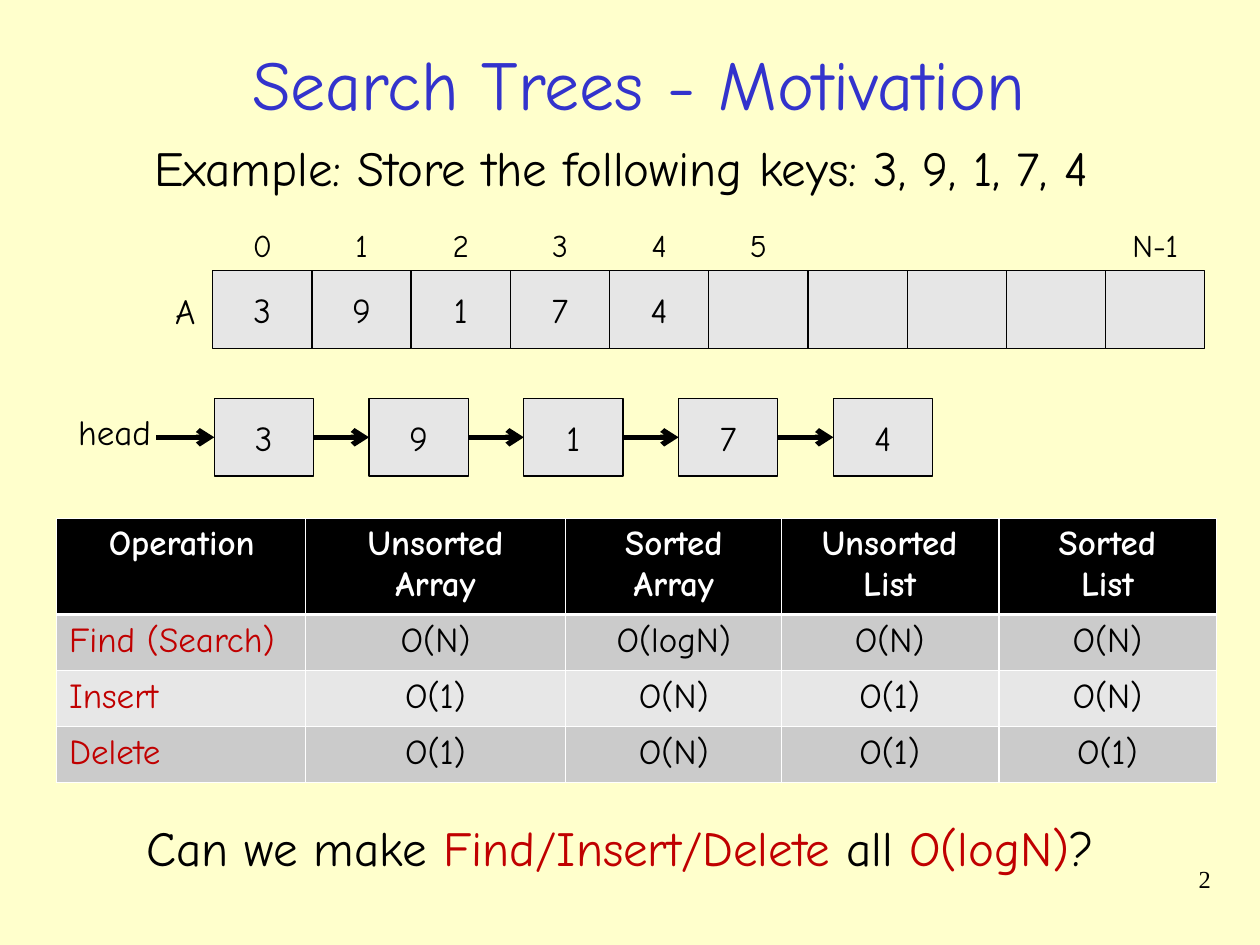
from dataclasses import dataclass

from lxml import etree
from pptx import Presentation
from pptx.dml.color import RGBColor
from pptx.enum.shapes import MSO_CONNECTOR, MSO_SHAPE
from pptx.enum.text import MSO_ANCHOR, MSO_AUTO_SIZE, PP_ALIGN
from pptx.oxml.ns import qn
from pptx.util import Cm, Pt

LEFT, CENTER, RIGHT = PP_ALIGN.LEFT, PP_ALIGN.CENTER, PP_ALIGN.RIGHT
MIDDLE = MSO_ANCHOR.MIDDLE
NO_AUTOFIT = MSO_AUTO_SIZE.NONE
RECTANGLE = MSO_SHAPE.RECTANGLE
STRAIGHT = MSO_CONNECTOR.STRAIGHT
SIDE_LEFT, SIDE_RIGHT = 1, 3

CREAM = RGBColor(0xFF, 0xFF, 0xCC)
BLUE = RGBColor(0x33, 0x33, 0xCC)
RED = RGBColor(0xC0, 0x00, 0x00)
BLACK = RGBColor(0x00, 0x00, 0x00)
WHITE = RGBColor(0xFF, 0xFF, 0xFF)
BOX_GRAY = RGBColor(0xE6, 0xE6, 0xE6)
DARK_BAND = RGBColor(0xCB, 0xCB, 0xCB)
LIGHT_BAND = RGBColor(0xE7, 0xE7, 0xE7)

FONT = "Comic Neue"
NUMBER_FONT = "Times New Roman"
KEYS = ["3", "9", "1", "7", "4"]
BOX_W, BOX_H = 2.0, 1.57
ARRAY_LEFT, ARRAY_TOP, ARRAY_SIZE = 4.29, 5.46, 10
LIST_LEFT, LIST_TOP, LIST_PITCH = 4.32, 8.03, 3.12
LABEL_TOP, LABEL_H = 4.43, 1.02
TABLE_TOP = 10.44
ROW_HEIGHTS = [1.95, 1.13, 1.13, 1.13]
ROW_FILLS = [BLACK, DARK_BAND, LIGHT_BAND, DARK_BAND]
THIN, THICK = Pt(0.45), Pt(1.47)


@dataclass
class Label:
    text: str
    left: float
    top: float
    width: float
    height: float
    size: int
    align: PP_ALIGN = CENTER
    font: str = FONT
    wrap: bool = False


@dataclass
class Column:
    left: float
    width: float
    cells: list[str]
    align: PP_ALIGN = CENTER
    color: RGBColor = BLACK


COLUMNS = [
    Column(1.14, 5.05, ["Operation", "Find (Search)", "Insert", "Delete"], LEFT, RED),
    Column(6.15, 5.26, ["Unsorted\nArray", "O(N)", "O(1)", "O(1)"]),
    Column(11.4, 4.37, ["Sorted\nArray", "O(logN)", "O(N)", "O(N)"]),
    Column(15.75, 4.37, ["Unsorted\nList", "O(N)", "O(1)", "O(1)"]),
    Column(20.14, 4.37, ["Sorted\nList", "O(N)", "O(N)", "O(1)"]),
]
QUESTION = [
    ("Can we make ", BLACK),
    ("Find/Insert/Delete", RED),
    (" all ", BLACK),
    ("O(logN)", RED),
    ("?", BLACK),
]


def format_paragraph(p, size: int, color: RGBColor, align: PP_ALIGN = CENTER,
                     font: str = FONT, bold: bool = False) -> None:
    p.alignment = align
    p.font.size = Pt(size)
    p.font.name = font
    p.font.color.rgb = color
    p.font.bold = bold


def place(sp, left: float, top: float, width: float, height: float) -> None:
    sp.left, sp.top, sp.width, sp.height = Cm(left), Cm(top), Cm(width), Cm(height)


def space_sentence(p) -> None:
    p.line_spacing = 0.9
    p.space_before = Pt(7)


def add_label(s, label: Label):
    sp = s.shapes.add_textbox(Cm(label.left), Cm(label.top), Cm(label.width), Cm(label.height))
    tf = sp.text_frame
    tf.word_wrap = label.wrap
    p = tf.paragraphs[0]
    p.text = label.text
    format_paragraph(p, label.size, BLACK, label.align, label.font)
    return sp


def add_box(s, left: float, top: float, text: str = ""):
    sp = s.shapes.add_shape(RECTANGLE, Cm(left), Cm(top), Cm(BOX_W), Cm(BOX_H))
    sp.shadow.inherit = False
    sp.fill.solid()
    sp.fill.fore_color.rgb = BOX_GRAY
    sp.line.color.rgb = BLACK
    sp.line.width = Pt(0.75)
    if text:
        sp.text_frame.vertical_anchor = MIDDLE
        p = sp.text_frame.paragraphs[0]
        p.text = text
        format_paragraph(p, 20, BLACK)
    return sp


def add_arrow(s, start: float, source, target) -> None:
    y = Cm(LIST_TOP + BOX_H / 2)
    c = s.shapes.add_connector(STRAIGHT, Cm(start), y, target.left, y)
    if source is not None:
        c.begin_connect(source, SIDE_RIGHT)
    c.end_connect(target, SIDE_LEFT)
    c.line.color.rgb = BLACK
    c.line.width = Pt(3)
    etree.SubElement(c.line._get_or_add_ln(), qn("a:tailEnd"), type="arrow")
    etree.SubElement(c._element.spPr, qn("a:effectLst"))


def set_borders(cell, top: Pt, bottom: Pt) -> None:
    tc_pr = cell._tc.get_or_add_tcPr()
    sides = {"a:lnL": THIN, "a:lnR": THIN, "a:lnT": top, "a:lnB": bottom}
    for i, (tag, width) in enumerate(sides.items()):
        ln = etree.Element(qn(tag), w=str(int(width)))
        fill = etree.SubElement(ln, qn("a:solidFill"))
        etree.SubElement(fill, qn("a:srgbClr"), val=str(WHITE))
        tc_pr.insert(i, ln)


def add_column(s, col: Column) -> None:
    table = s.shapes.add_table(len(col.cells), 1, Cm(col.left), Cm(TABLE_TOP),
                               Cm(col.width), Cm(sum(ROW_HEIGHTS))).table
    for i, text in enumerate(col.cells):
        header = i == 0
        table.rows[i].height = Cm(ROW_HEIGHTS[i])
        cell = table.cell(i, 0)
        cell.fill.solid()
        cell.fill.fore_color.rgb = ROW_FILLS[i]
        set_borders(cell, THICK if i == 1 else THIN, THICK if header else THIN)
        cell.text_frame.text = text
        for p in cell.text_frame.paragraphs:
            format_paragraph(p, 20, WHITE if header else col.color,
                             CENTER if header else col.align, bold=header)


def add_headings(s) -> None:
    title, body = s.shapes.title, s.placeholders[1]
    place(title, 0.76, 0.69, 24.23, 1.93)
    place(body, 1.14, 2.77, 22.76, 1.78)
    title.text_frame.text = "Search Trees - Motivation"
    body.text_frame.text = "Example: Store the following keys: 3, 9, 1, 7, 4"
    for sp, size, color in ((title, 40, BLUE), (body, 28, BLACK)):
        sp.text_frame.auto_size = NO_AUTOFIT
        format_paragraph(sp.text_frame.paragraphs[0], size, color)
    p = body.text_frame.paragraphs[0]
    space_sentence(p)
    p_pr = p._p.get_or_add_pPr()
    p_pr.set("marL", "0")
    p_pr.set("indent", "0")
    p_pr.insert_element_before(etree.Element(qn("a:buNone")), "a:tabLst", "a:defRPr", "a:extLst")


def add_array(s) -> None:
    for i in range(ARRAY_SIZE):
        left = ARRAY_LEFT + i * BOX_W
        add_box(s, left, ARRAY_TOP, KEYS[i] if i < len(KEYS) else "")
        index = "N-1" if i == ARRAY_SIZE - 1 else str(i)
        if i <= len(KEYS) or index == "N-1":
            add_label(s, Label(index, left, LABEL_TOP, BOX_W, LABEL_H, 18))
    add_label(s, Label("A", 3.28, 5.72, 0.91, 1.12, 20))


def add_linked_list(s) -> None:
    add_label(s, Label("head", 1.32, 8.15, 1.98, 1.12, 20))
    nodes = [add_box(s, LIST_LEFT + i * LIST_PITCH, LIST_TOP, key) for i, key in enumerate(KEYS)]
    for i, (source, target) in enumerate(zip([None] + nodes, nodes)):
        add_arrow(s, 3.15 + i * LIST_PITCH, source, target)


def add_question(s) -> None:
    sp = add_label(s, Label("", 1.12, 16.48, 22.76, 1.8, 28, wrap=True))
    p = sp.text_frame.paragraphs[0]
    space_sentence(p)
    for text, color in QUESTION:
        r = p.add_run()
        r.text = text
        r.font.color.rgb = color


def main() -> None:
    prs = Presentation()
    prs.slide_width, prs.slide_height = Cm(25.4), Cm(19.05)
    s = prs.slides.add_slide(prs.slide_layouts[1])
    s.background.fill.solid()
    s.background.fill.fore_color.rgb = CREAM
    add_headings(s)
    add_array(s)
    add_linked_list(s)
    for col in COLUMNS:
        add_column(s, col)
    add_question(s)
    add_label(s, Label("2", 19.38, 17.3, 5.28, 1.27, 14, RIGHT, NUMBER_FONT, True))
    prs.save("out.pptx")


if __name__ == "__main__":
    main()
